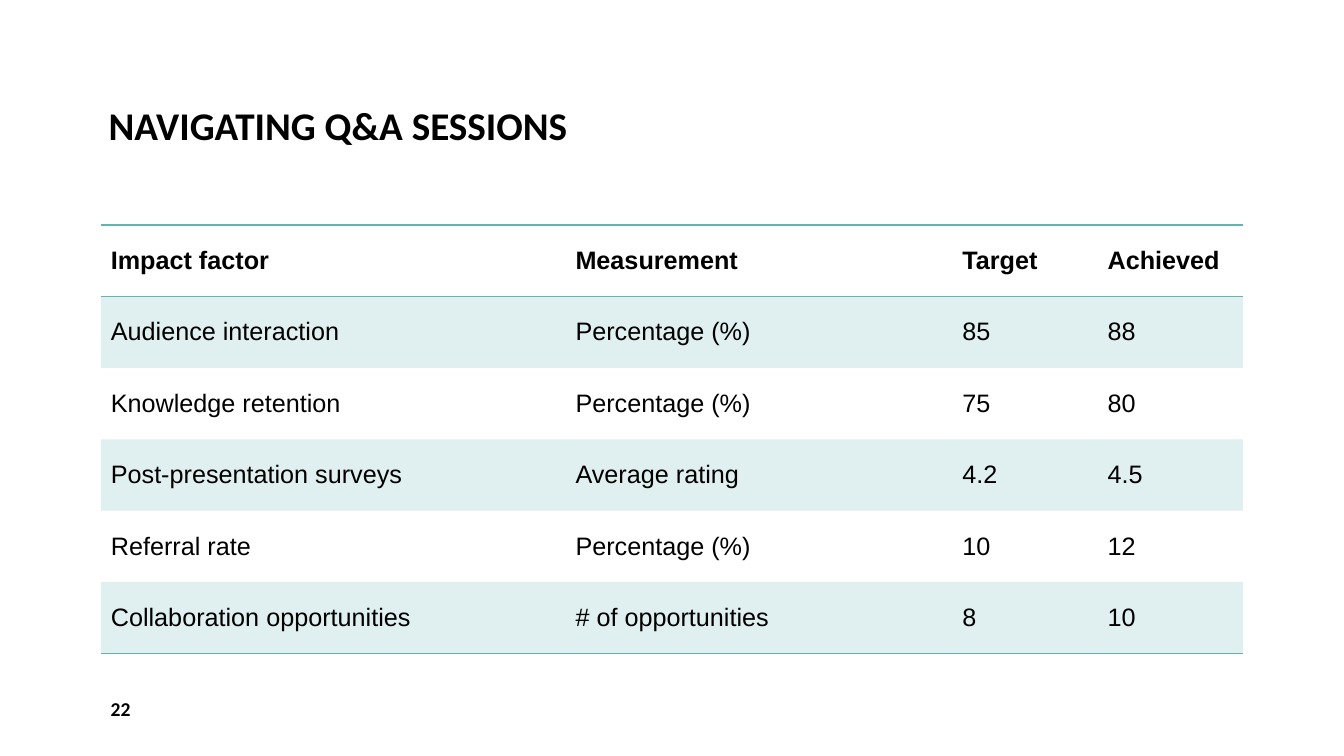
from dataclasses import dataclass

from lxml.etree import SubElement
from pptx import Presentation
from pptx.dml.color import RGBColor
from pptx.enum.text import MSO_ANCHOR
from pptx.oxml import parse_xml
from pptx.oxml.ns import nsdecls, qn
from pptx.util import Cm, Pt

TITLE = "NAVIGATING Q&A SESSIONS"
PAGE_NUMBER = "22"
IMPACT_ROWS = [
    ("Impact factor", "Measurement", "Target", "Achieved"),
    ("Audience interaction", "Percentage (%)", "85", "88"),
    ("Knowledge retention", "Percentage (%)", "75", "80"),
    ("Post-presentation surveys", "Average rating", "4.2", "4.5"),
    ("Referral rate", "Percentage (%)", "10", "12"),
    ("Collaboration opportunities", "# of opportunities", "8", "10"),
]
COLUMN_WIDTHS = (11.71, 9.75, 3.66, 3.66)
ROW_HEIGHT = 1.8
NO_STYLE = "{2D5ABB26-0587-4C30-8999-92F81FD0307C}"


@dataclass(frozen=True)
class Theme:
    ink: str = "000000"
    accent: str = "66B2B0"
    paper: str = "FFFFFF"
    band_alpha: int = 20
    rule_width: float = 1
    heading_font: str = "Calibri"
    body_font: str = "Arial"
    title_size: int = 28
    table_size: int = 18
    number_size: int = 14


THEME = Theme()


def write(frame, text, font, size, bold):
    para = frame.paragraphs[0]
    span = para.add_run()
    span.text = text
    span.font.name = font
    span.font.size = Pt(size)
    span.font.bold = bold
    span.font.color.rgb = RGBColor.from_string(THEME.ink)
    return para


def add_label(page, place, text, size, anchor):
    box = page.shapes.add_textbox(*(Cm(length) for length in place))
    box.text_frame.word_wrap = True
    box.text_frame.vertical_anchor = anchor
    return write(box.text_frame, text, THEME.heading_font, size, True)


def fill_band(cell):
    cell.fill.solid()
    cell.fill.fore_color.rgb = RGBColor.from_string(THEME.accent)
    color = cell._tc.tcPr.find(qn("a:solidFill"))[0]
    SubElement(color, qn("a:alpha"), val=str(THEME.band_alpha * 1000))


def add_rules(cell, sides):
    for position, side in enumerate(sides):
        line = parse_xml(
            f'<a:ln{side} {nsdecls("a")} w="{Pt(THEME.rule_width)}">'
            f'<a:solidFill><a:srgbClr val="{THEME.accent}"/></a:solidFill>'
            f'</a:ln{side}>'
        )
        cell._tc.get_or_add_tcPr().insert(position, line)


def add_impact_table(page):
    last = len(IMPACT_ROWS) - 1
    frame = page.shapes.add_table(
        len(IMPACT_ROWS), len(COLUMN_WIDTHS), Cm(2.54), Cm(5.67),
        Cm(sum(COLUMN_WIDTHS)), Cm(ROW_HEIGHT * len(IMPACT_ROWS)),
    )
    table = frame.table
    table.horz_banding = False
    table._tbl.tblPr.find(qn("a:tableStyleId")).text = NO_STYLE
    for column, width in zip(table.columns, COLUMN_WIDTHS):
        column.width = Cm(width)
    for row_index, values in enumerate(IMPACT_ROWS):
        table.rows[row_index].height = Cm(ROW_HEIGHT)
        for column_index, value in enumerate(values):
            cell = table.cell(row_index, column_index)
            cell.vertical_anchor = MSO_ANCHOR.MIDDLE
            write(cell.text_frame, value, THEME.body_font,
                  THEME.table_size, row_index == 0)
            if row_index % 2:
                fill_band(cell)
            else:
                cell.fill.background()
            add_rules(cell, {0: "TB", last: "B"}.get(row_index, ""))


def main():
    deck = Presentation()
    deck.slide_width, deck.slide_height = Cm(33.87), Cm(19.05)
    page = deck.slides.add_slide(deck.slide_layouts[6])
    page.background.fill.solid()
    page.background.fill.fore_color.rgb = RGBColor.from_string(THEME.paper)
    heading = add_label(page, (2.49, 0.2, 28.9, 3.68), TITLE,
                        THEME.title_size, MSO_ANCHOR.BOTTOM)
    heading.line_spacing = 0.9
    add_impact_table(page)
    add_label(page, (2.54, 17.35, 7.42, 1.02), PAGE_NUMBER,
              THEME.number_size, MSO_ANCHOR.MIDDLE)
    deck.save("out.pptx")


if __name__ == "__main__":
    main()
